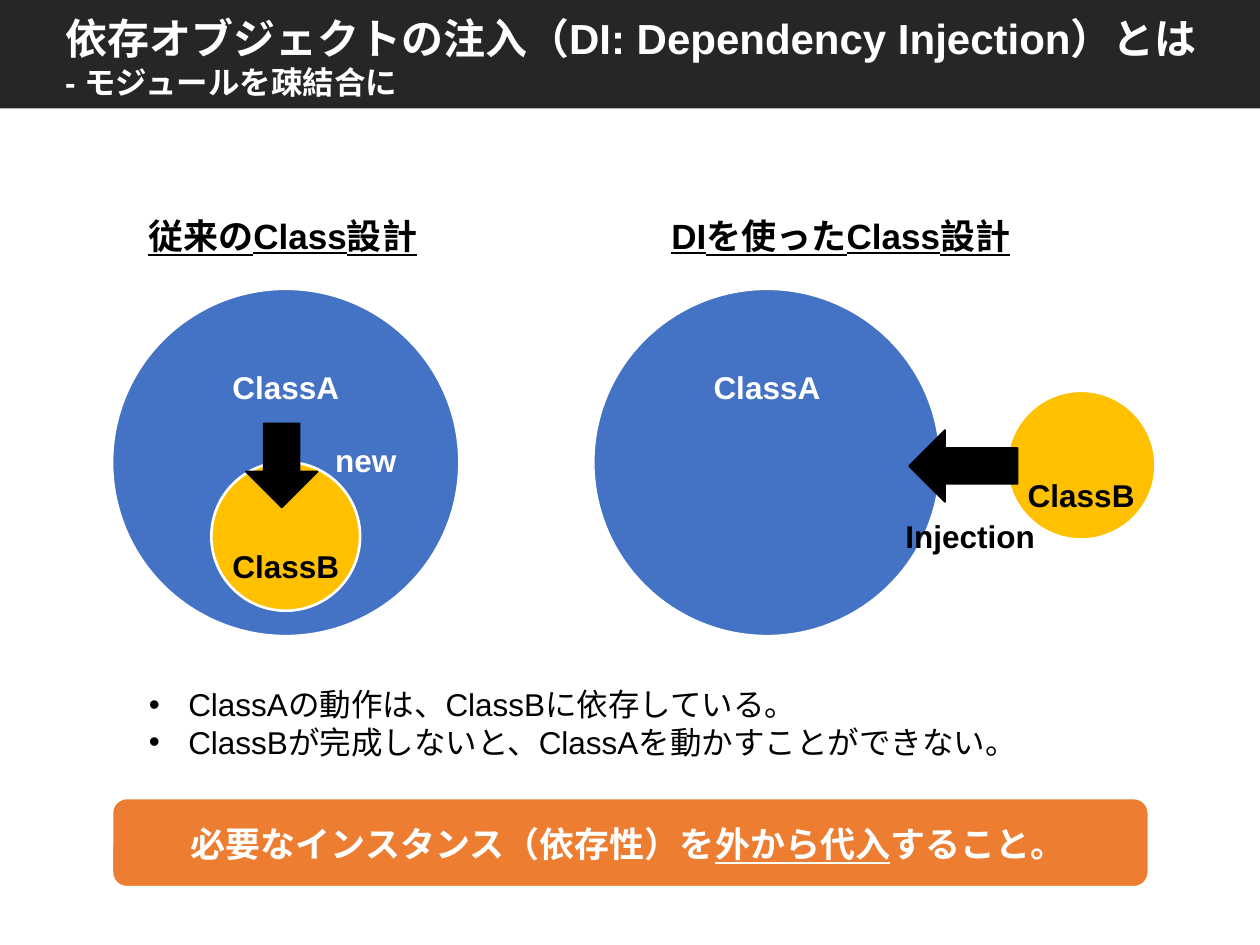
from lxml import etree
from pptx import Presentation
from pptx.dml.color import RGBColor
from pptx.enum.shapes import MSO_SHAPE
from pptx.enum.text import MSO_ANCHOR, PP_ALIGN
from pptx.oxml.ns import qn
from pptx.util import Pt

RECT, ROUNDED = MSO_SHAPE.RECTANGLE, MSO_SHAPE.ROUNDED_RECTANGLE
CIRCLE, ARROW = MSO_SHAPE.OVAL, MSO_SHAPE.DOWN_ARROW
LEFT, CENTER = PP_ALIGN.LEFT, PP_ALIGN.CENTER
TOP = MSO_ANCHOR.TOP

WHITE = RGBColor(0xFF, 0xFF, 0xFF)
BLACK = RGBColor(0, 0, 0)
CHARCOAL = RGBColor(0x26, 0x26, 0x26)
BLUE = RGBColor(0x44, 0x72, 0xC4)
YELLOW = RGBColor(0xFF, 0xC0, 0)
ORANGE = RGBColor(0xED, 0x7D, 0x31)


class SlideBuilder:
    font = "Arial"
    body_size = 18
    heading_size = 20

    def __init__(self, slide):
        self.slide = slide

    def add_run(self, paragraph, text, size, color, bold=True, underline=False, font=None):
        run = paragraph.add_run()
        run.text = text
        run.font.name = font or self.font
        run.font.size = Pt(size)
        run.font.color.rgb = color
        run.font.bold = bold
        run.font.underline = underline

    def title(self, left, top, width, height, lines):
        """Fill the title placeholder with (text, size) lines."""
        title = self.slide.shapes.title
        title.left, title.top = Pt(left), Pt(top)
        title.width, title.height = Pt(width), Pt(height)
        frame = title.text_frame
        frame.word_wrap = True
        frame.vertical_anchor = TOP
        for index, (text, size) in enumerate(lines):
            paragraph = frame.add_paragraph() if index else frame.paragraphs[0]
            paragraph.alignment = LEFT
            self.add_run(paragraph, text, size, WHITE)

    def shape(self, kind, left, top, width, height, fill, line=None, line_width=1.5, rotation=0):
        shape = self.slide.shapes.add_shape(kind, Pt(left), Pt(top), Pt(width), Pt(height))
        shape.shadow.inherit = False
        shape.rotation = rotation
        shape.fill.solid()
        shape.fill.fore_color.rgb = fill
        if line is None:
            shape.line.fill.background()
        else:
            shape.line.color.rgb = line
            shape.line.width = Pt(line_width)
        return shape

    def circle(self, left, top, diameter, fill):
        self.shape(CIRCLE, left, top, diameter, diameter, fill, WHITE)

    def arrow(self, left, top, width, length, rotation=0):
        self.shape(ARROW, left, top, width, length, BLACK, BLACK, 1, rotation)

    def text_frame(self, left, top, width, height):
        box = self.slide.shapes.add_textbox(Pt(left), Pt(top), Pt(width), Pt(height))
        box.text_frame.word_wrap = True
        return box.text_frame

    def label(self, left, top, width, text, color=BLACK):
        paragraph = self.text_frame(left, top, width, 29).paragraphs[0]
        paragraph.alignment = CENTER
        self.add_run(paragraph, text, self.body_size, color)

    def heading(self, left, top, width, runs, color=BLACK, font=None):
        """Add one centred line from (text, underline) runs."""
        paragraph = self.text_frame(left, top, width, 32).paragraphs[0]
        paragraph.alignment = CENTER
        for text, underline in runs:
            self.add_run(paragraph, text, self.heading_size, color,
                         underline=underline, font=font)

    def bullets(self, left, top, width, height, items, indent=22.5):
        frame = self.text_frame(left, top, width, height)
        for index, item in enumerate(items):
            paragraph = frame.add_paragraph() if index else frame.paragraphs[0]
            properties = paragraph._p.get_or_add_pPr()
            properties.set("marL", str(Pt(indent)))
            properties.set("indent", str(-Pt(indent)))
            etree.SubElement(properties, qn("a:buFont")).set("typeface", self.font)
            etree.SubElement(properties, qn("a:buChar")).set("char", "•")
            self.add_run(paragraph, item, self.body_size, BLACK, bold=False)


def main():
    deck = Presentation()
    deck.slide_width, deck.slide_height = Pt(720), Pt(540)
    slide = deck.slides.add_slide(deck.slide_layouts[5])
    builder = SlideBuilder(slide)

    header = builder.shape(RECT, 0, 0, 720, 62, CHARCOAL)
    slide.shapes.title._element.addprevious(header._element)
    builder.title(30, 3.6, 687, 58.3, [
        ("依存オブジェクトの注入（DI: Dependency Injection）とは", 24),
        ("- モジュールを疎結合に", 18),
    ])
    builder.bullets(78, 388, 526, 51, [
        "ClassAの動作は、ClassBに依存している。",
        "ClassBが完成しないと、ClassAを動かすことができない。",
    ])

    outer, inner = 198.5, 85
    inset = (outer - inner) / 2
    old_left, di_left = 64, 339
    class_b_left = 575.3

    for left in (old_left, di_left):
        builder.circle(left, 165, outer, BLUE)
        builder.label(left + inset, 206.6, inner, "ClassA", WHITE)

    builder.heading(70.5, 119, 182, [("従来のClass設計", True)])
    builder.circle(old_left + inset, 264, inner, YELLOW)
    builder.arrow(140.5, 242, 41, 48)
    builder.label(old_left + inset, 309, inner, "ClassB")
    builder.label(180, 248.4, 58, "new", WHITE)

    builder.heading(367, 119, 227, [("DIを使ったClass設計", True)])
    builder.circle(class_b_left, 223.3, inner, YELLOW)
    builder.arrow(530, 235.3, 41, 62, rotation=90)
    builder.label(class_b_left, 268.6, inner, "ClassB")
    builder.label(504.7, 291.6, 99.4, "Injection")

    builder.shape(ROUNDED, 64, 456, 592.5, 51, ORANGE, WHITE)
    builder.heading(78, 466.5, 562, [
        ("必要なインスタンス（依存性）を", False),
        ("外から代入", True),
        ("すること。", False),
    ], WHITE, "Calibri")

    deck.save("out.pptx")


if __name__ == "__main__":
    main()
